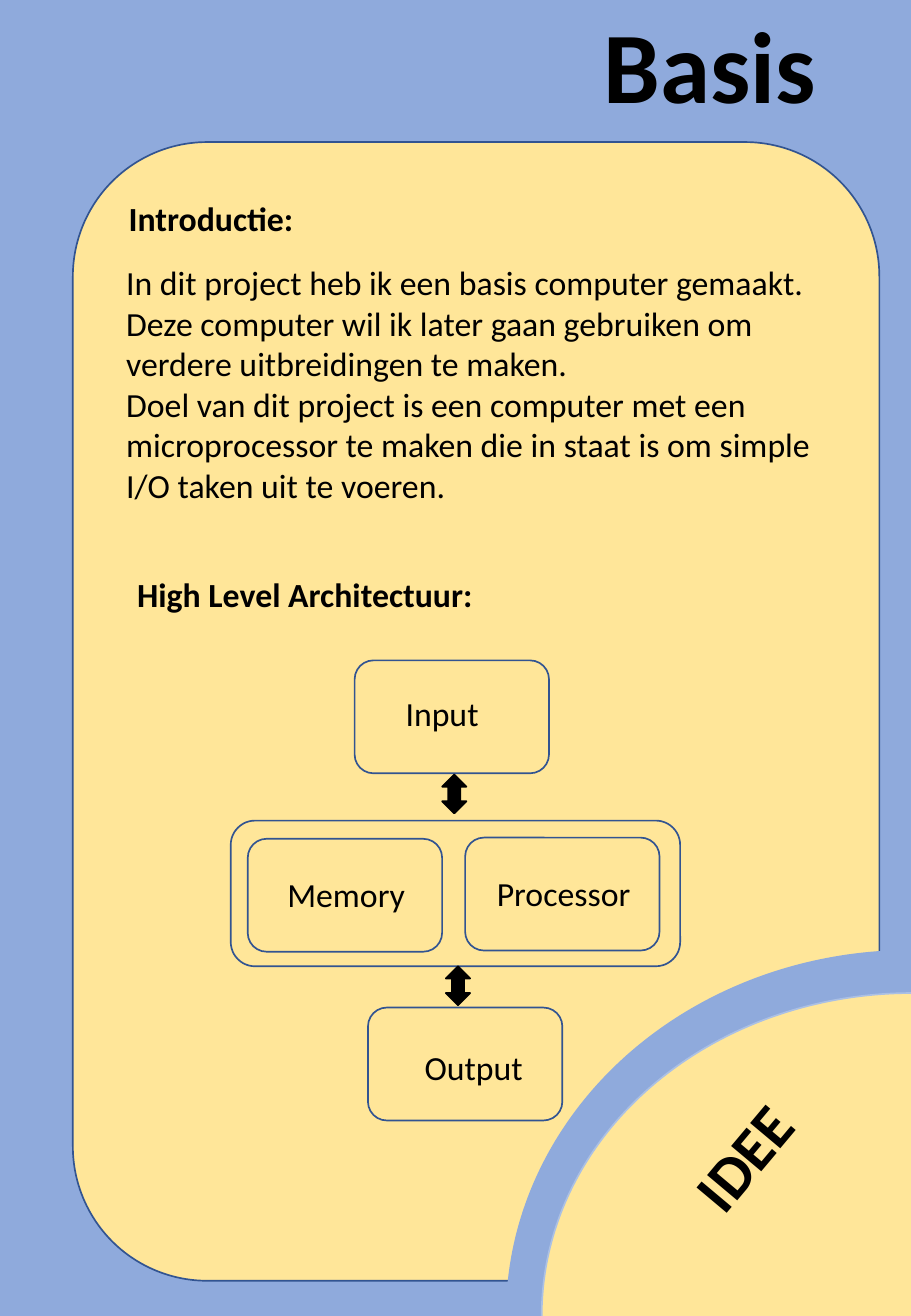
from pptx import Presentation
from pptx.dml.color import RGBColor
from pptx.enum.shapes import MSO_SHAPE as Kind
from pptx.enum.text import MSO_ANCHOR as Anchor, MSO_AUTO_SIZE as Fit
from pptx.enum.text import PP_ALIGN as Align
from pptx.util import Pt

PX = 9144  # 100 px to the inch
BLUE, SAND, EDGE, BLACK = "8FAADC", "FFE699", "325491", "000000"
hue = RGBColor.from_string


def draw(home, kind, box, fill=None, line=None, turn=0):
    """Add a preset shape; a missing fill or line is left empty."""
    shape = home.add_shape(kind, *[v * PX for v in box])
    shape.shadow.inherit = False
    shape.rotation = turn
    for part, tone in ((shape.fill, fill), (shape.line.fill, line)):
        if tone:
            part.solid()
            part.fore_color.rgb = hue(tone)
        else:
            part.background()
    if line:
        shape.line.width = Pt(1)
    return shape


def write(home, box, lines, size=20, bold=False, align=Align.LEFT, turn=0):
    """Add a wrapped text box with one paragraph for each line."""
    area = home.add_textbox(*[v * PX for v in box])
    area.rotation = turn
    frame = area.text_frame
    frame.word_wrap = True
    frame.auto_size = Fit.SHAPE_TO_FIT_TEXT
    frame.text = "\n".join(lines)
    for para in frame.paragraphs:
        para.alignment = align
        look = {"name": "Calibri", "size": Pt(size), "bold": bold}
        for key, value in look.items():
            setattr(para.font, key, value)
        para.font.color.rgb = hue(BLACK)
    return frame


deck = Presentation()
deck.slide_width, deck.slide_height = 750 * PX, 1084 * PX
slide = deck.slides.add_slide(deck.slide_layouts[6])
slide.background.fill.solid()
slide.background.fill.fore_color.rgb = hue(BLUE)
page = slide.shapes

# Title and panel
title = write(page, (60, 0, 664, 117), ["Basis"], 60, True, Align.RIGHT)
title.auto_size = Fit.NONE
title.vertical_anchor = Anchor.MIDDLE
title.margin_right = 52 * PX
title.paragraphs[0].line_spacing = 0.9
draw(page, Kind.ROUNDED_RECTANGLE, (60, 117, 664, 938), SAND, EDGE)

# Introduction and headings
intro = [
    "In dit project heb ik een basis computer gemaakt. Deze computer wil ik "
    "later gaan gebruiken om verdere uitbreidingen te maken.",
    "Doel van dit project is een computer met een microprocessor te maken "
    "die in staat is om simple I/O taken uit te voeren.",
]
write(page, (94, 211, 619, 212), intro)
for left, top, head in ((96, 158, "Introductie:"),
                        (103, 468, "High Level Architectuur:")):
    write(page, (left, top, 375, 44), [head], bold=True)

# Corner badge
pie = draw(page, Kind.PIE, (449, 750, 602, 667), BLUE, turn=90)
pie.adjustments[0], pie.adjustments[1] = 216, 162  # 360 and 270 degrees
draw(page, Kind.OVAL, (446, 818, 609, 531), SAND, "ABC0E4")
write(page, (502, 918, 220, 71), ["IDEE"], 36, True, Align.CENTER, 310)

# Architecture: home, block left and top, label left and top
core = page.add_group_shape().shapes
draw(core, Kind.ROUNDED_RECTANGLE, (190, 676, 370, 120), line=EDGE)
blocks = [
    ("Input", page, 292, 544, 283, 566),
    ("Memory", core, 204, 691, 204, 715),
    ("Processor", core, 383, 690, 383, 714),
    ("Output", page, 303, 830, 309, 857),
]
for name, home, left, top, x, y in blocks:
    draw(home, Kind.ROUNDED_RECTANGLE, (left, top, 160, 93), line=EDGE)
    write(home, (x, y, 162, 44), [name], align=Align.CENTER)
for left, top in ((358, 644), (361, 802)):
    draw(page, Kind.LEFT_RIGHT_ARROW, (left, top, 32, 20), BLACK, BLACK, 90)

deck.save("out.pptx")
